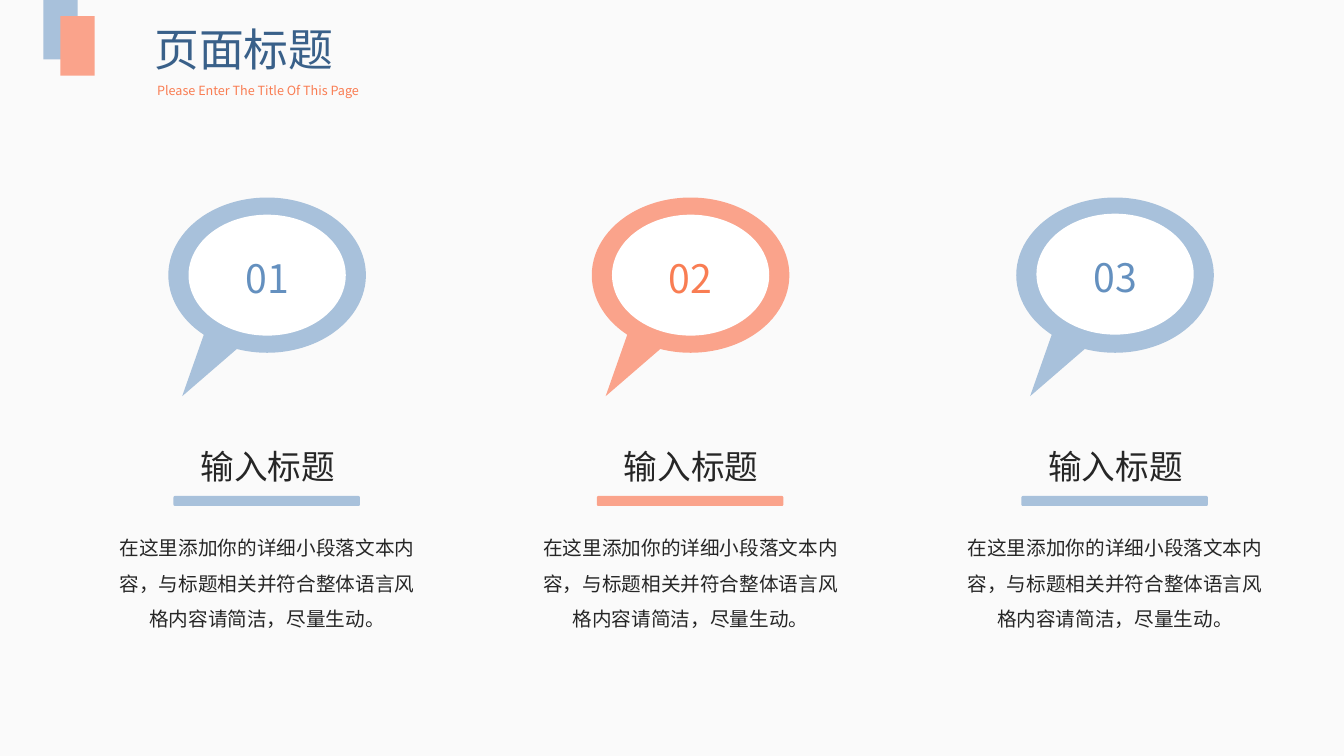
from lxml import etree
from pptx import Presentation, util as u
from pptx.dml.color import RGBColor
from pptx.enum import shapes, text
from pptx.oxml.ns import qn

PX = 9144  # 100 px to the inch
FONT = "Noto Sans CJK SC"
HEX = {
    "page": "FAFAFA", "white": "FFFFFF", "ink": "262626", "navy": "396089",
    "blue": "A8C1DB", "steel": "6490BF", "coral": "FAA38B", "orange": "F97D53",
}
BODY = "在这里添加你的详细小段落文本内容，与标题相关并符合整体语言风格内容请简洁，尽量生动。"
KIND = shapes.MSO_SHAPE
ALIGN = text.PP_ALIGN

deck = Presentation()
deck.slide_width, deck.slide_height = 1333 * PX, 750 * PX
slide = deck.slides.add_slide(deck.slide_layouts[5])
fill = slide.background.fill
fill.solid()
fill.fore_color.rgb = RGBColor.from_string(HEX["page"])


def write(shape, words, size, color, line, align=ALIGN.CENTER, anchor=text.MSO_ANCHOR.TOP):
    frame = shape.text_frame
    frame.word_wrap = True
    frame.auto_size = text.MSO_AUTO_SIZE.NONE
    frame.vertical_anchor = anchor
    para = frame.paragraphs[0]
    para.alignment = align
    para.line_spacing = u.Pt(line)
    run = para.add_run()
    run.text = words
    run.font.size = u.Pt(size)
    run.font.color.rgb = RGBColor.from_string(HEX[color])
    run.font.name = FONT
    # East Asian typeface
    etree.SubElement(run._r.get_or_add_rPr(), qn("a:ea"), typeface=FONT)


def draw(kind, box, color):
    shape = slide.shapes.add_shape(kind, *[n * PX for n in box])
    shape.shadow.inherit = False
    shape.fill.solid()
    shape.fill.fore_color.rgb = RGBColor.from_string(HEX[color])
    shape.line.fill.background()
    return shape


# Corner blocks
draw(KIND.RECTANGLE, (43, 0, 34, 59), "blue")
draw(KIND.RECTANGLE, (60, 16, 34, 59), "coral")

# Page title and subtitle
title = slide.shapes.title
title.left, title.top, title.width, title.height = [n * PX for n in (143, 13, 311, 64)]
write(title, "页面标题", 32, "navy", 41, align=ALIGN.LEFT)
sub = slide.shapes.add_textbox(*[n * PX for n in (146, 77, 311, 25)])
write(sub, "Please Enter The Title Of This Page", 9, "orange", 11, align=ALIGN.LEFT)

# Three columns: bubble with number, heading, bar, paragraph
cols = [("01", "blue", "steel", 213), ("02", "coral", "orange", 213), ("03", "blue", "steel", 212)]
for i, (num, tint, dark, top) in enumerate(cols):
    x = 102 + 841 * i // 2
    bubble = draw(KIND.OVAL_CALLOUT, (x + 65, 196, 196, 154), tint)
    bubble.adjustments[0], bubble.adjustments[1] = -0.43, 0.78
    disc = draw(KIND.OVAL, (x + 85, top, 156, 120), "white")
    write(disc, num, 28, dark, 38, anchor=text.MSO_ANCHOR.MIDDLE)

    head = slide.shapes.add_textbox(*[n * PX for n in (x + 48, 414, 231, 71)])
    write(head, "输入标题", 24, "ink", 46)
    draw(KIND.ROUNDED_RECTANGLE, (x + 70, 492, 185, 10), tint)
    note = slide.shapes.add_textbox(*[n * PX for n in (x, 515, 326, 116)])
    write(note, BODY, 14, "ink", 25.4)

deck.save("out.pptx")
